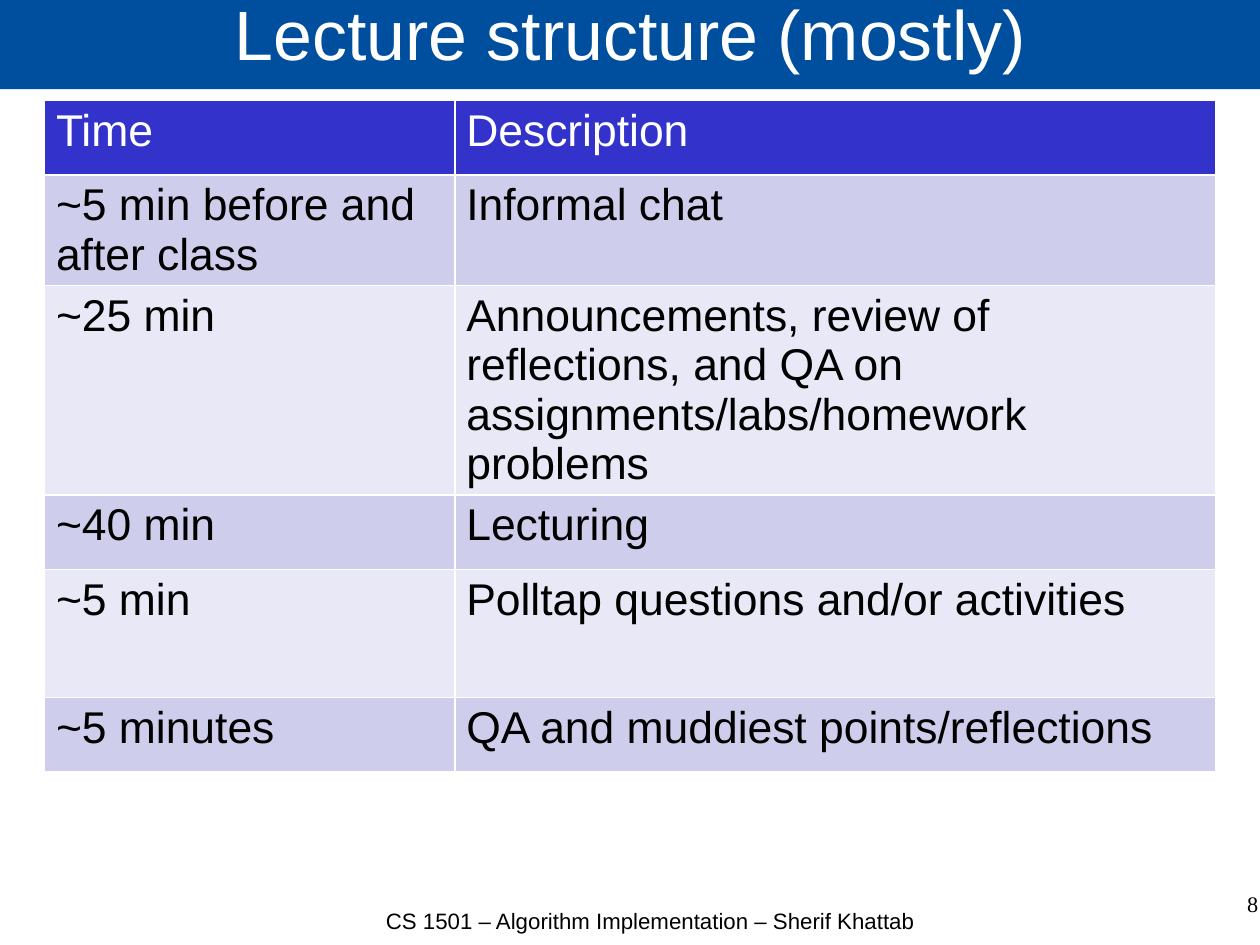
from dataclasses import dataclass

from lxml.etree import SubElement
from pptx import Presentation
from pptx.dml.color import RGBColor as Color
from pptx.enum.text import MSO_ANCHOR as Anchor, MSO_AUTO_SIZE as AutoSize, PP_ALIGN as Align
from pptx.oxml.ns import qn
from pptx.util import Inches, Pt


@dataclass(frozen=True)
class Theme:
    """Colours, fonts and type sizes of the slide."""
    bar: str = "004F9E"
    header: str = "3333CC"
    bands: tuple = ("CECEEC", "E8E8F6")
    light: str = "FFFFFF"
    dark: str = "000000"
    sans: str = "Arial"
    serif: str = "Times New Roman"
    title: int = 44
    table: int = 28
    footer: int = 14


THEME = Theme()
CM_PER_INCH = 2.54
PAGE_CM = (28, 21)
SCHEDULE = [
    ("Time", "Description"),
    ("~5 min before and after class", "Informal chat"),
    ("~25 min", "Announcements, review of reflections, and QA on assignments/labs/homework problems"),
    ("~40 min", "Lecturing"),
    ("~5 min", "Polltap questions and/or activities"),
    ("~5 minutes", "QA and muddiest points/reflections"),
]
COLUMN_WIDTHS = (3.59, 6.66)
ROW_HEIGHTS = (0.65, 0.65, 1.61, 0.65, 1.12, 0.65)


def set_all(target, values):
    """Set each named attribute of the target."""
    for name, value in values.items():
        setattr(target, name, value)


def paint(item, colour):
    """Give the item a solid fill."""
    item.fill.solid()
    item.fill.fore_color.rgb = Color.from_string(colour)


def write(frame, text, size, colour, align=Align.LEFT, font=THEME.sans, spacing=1.0):
    """Write one formatted paragraph into the text frame."""
    para = frame.paragraphs[0]
    set_all(para, {"alignment": align, "line_spacing": spacing})
    span = para.add_run()
    span.text = text
    set_all(span.font, {"name": font, "size": Pt(size), "bold": False})
    span.font.color.rgb = Color.from_string(colour)


def prepare(frame, anchor):
    """Remove the insets of a text frame and fix its size."""
    set_all(frame, {
        "margin_left": 0, "margin_top": 0, "margin_right": 0, "margin_bottom": 0,
        "word_wrap": True, "auto_size": AutoSize.NONE, "vertical_anchor": anchor,
    })


def add_title(page, box, text):
    """Turn the title placeholder into the coloured bar."""
    title = page.shapes.title
    set_all(title, dict(zip(("left", "top", "width", "height"), map(Inches, box))))
    paint(title, THEME.bar)
    prepare(title.text_frame, Anchor.MIDDLE)
    write(title.text_frame, text, THEME.title, THEME.light, Align.CENTER, spacing=0.69)


def add_note(page, box, text, align, font):
    """Add a small line of text at the foot of the page."""
    frame = page.shapes.add_textbox(*map(Inches, box)).text_frame
    prepare(frame, Anchor.TOP)
    write(frame, text, THEME.footer, THEME.dark, align, font, 0.96)


def add_borders(cell):
    """Draw thin light borders around a table cell."""
    properties = cell._tc.get_or_add_tcPr()
    for place, side in enumerate(("lnL", "lnR", "lnT", "lnB")):
        line = SubElement(properties, qn(f"a:{side}"), w=str(Pt(1)))
        fill = SubElement(line, qn("a:solidFill"))
        SubElement(fill, qn("a:srgbClr"), val=THEME.light)
        properties.insert(place, line)


def add_schedule(page, box):
    """Add the table of lecture parts with banded rows."""
    table = page.shapes.add_table(len(SCHEDULE), len(COLUMN_WIDTHS), *map(Inches, box)).table
    for column, width in zip(table.columns, COLUMN_WIDTHS):
        column.width = Inches(width)
    for index, (row, height, texts) in enumerate(zip(table.rows, ROW_HEIGHTS, SCHEDULE)):
        row.height = Inches(height)
        fill = THEME.bands[(index - 1) % 2] if index else THEME.header
        colour = THEME.dark if index else THEME.light
        for cell, text in zip(row.cells, texts):
            paint(cell, fill)
            add_borders(cell)
            write(cell.text_frame, text, THEME.table, colour)


def main():
    """Build and save the deck."""
    deck = Presentation()
    width, height = (Inches(side / CM_PER_INCH) for side in PAGE_CM)
    set_all(deck, {"slide_width": width, "slide_height": height})
    page = deck.slides.add_slide(deck.slide_layouts[5])
    add_title(page, (0, -0.02, 11.04, 0.8), "Lecture structure (mostly)")
    add_note(page, (3.07, 7.95, 5.24, 0.55), "CS 1501 – Algorithm Implementation – Sherif Khattab",
             Align.CENTER, THEME.sans)
    add_note(page, (8.48, 7.8, 2.53, 0.55), "8", Align.RIGHT, THEME.serif)
    add_schedule(page, (0.39, 0.88, sum(COLUMN_WIDTHS), sum(ROW_HEIGHTS)))
    deck.save("out.pptx")


if __name__ == "__main__":
    main()
